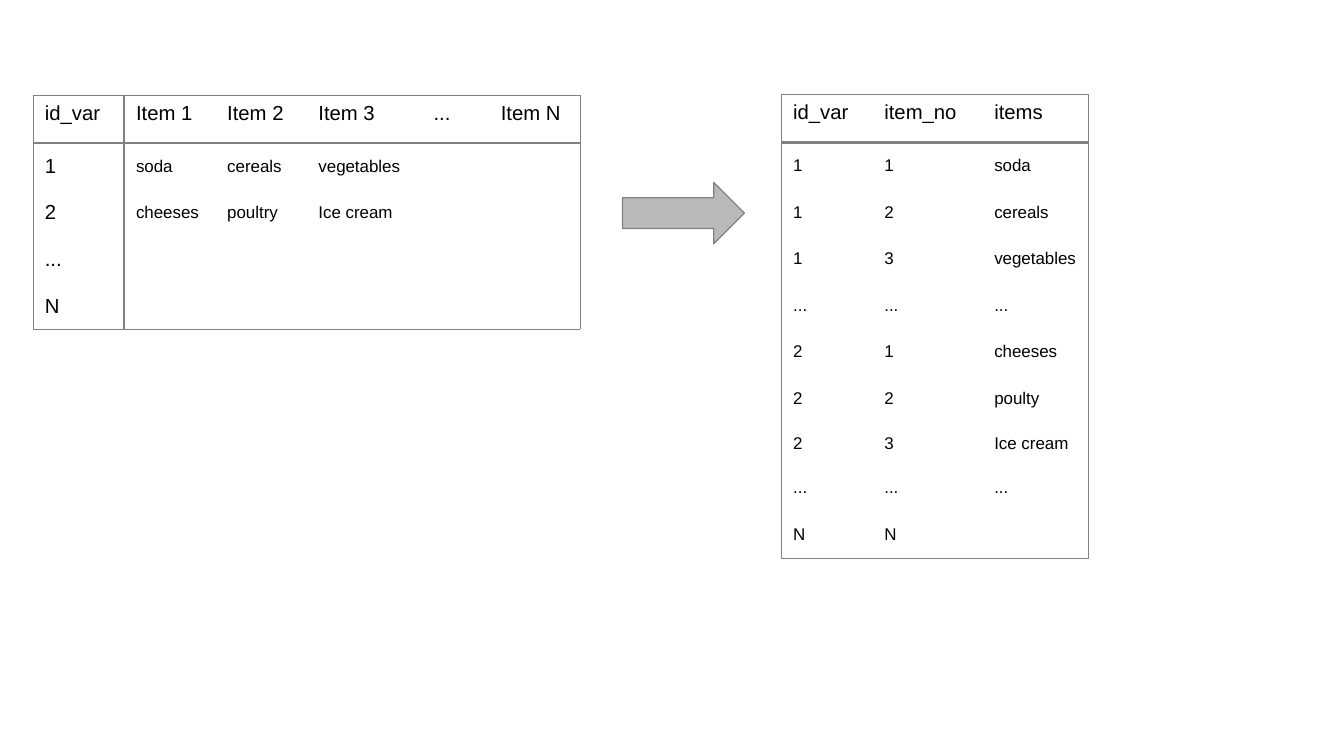
from lxml import etree
from pptx import Presentation
from pptx.dml.color import RGBColor
from pptx.enum.shapes import MSO_SHAPE
from pptx.enum.text import MSO_ANCHOR
from pptx.oxml.ns import qn
from pptx.util import Cm, Pt

RIGHT_ARROW = MSO_SHAPE.RIGHT_ARROW
TOP, MIDDLE = MSO_ANCHOR.TOP, MSO_ANCHOR.MIDDLE

COLORS = {"paper": "FFFFFF", "ink": "000000", "rule": "818181", "arrow": "B9B9B9"}
FONT = "Arial"
LARGE, SMALL = 12, 10
HEADER_RULE = 1.75

WIDE_ROWS = [
    ["id_var", "Item 1", "Item 2", "Item 3", "...", "Item N"],
    ["1", "soda", "cereals", "vegetables", "", ""],
    ["2", "cheeses", "poultry", "Ice cream", "", ""],
    ["...", "", "", "", "", ""],
    ["N", "", "", "", "", ""],
]
LONG_ROWS = [
    ["id_var", "item_no", "items"],
    ["1", "1", "soda"],
    ["1", "2", "cereals"],
    ["1", "3", "vegetables"],
    ["...", "...", "..."],
    ["2", "1", "cheeses"],
    ["2", "2", "poulty"],
    ["2", "3", "Ice cream"],
    ["...", "...", "..."],
    ["N", "N", ""],
]


def color(name):
    return RGBColor.from_string(COLORS[name])


def set_border(cell, side, weight):
    properties = cell._tc.get_or_add_tcPr()
    line = etree.SubElement(properties, qn(f"a:ln{side}"))
    if weight is None:
        etree.SubElement(line, qn("a:noFill"))
        return
    line.set("w", str(Pt(weight)))
    fill = etree.SubElement(line, qn("a:solidFill"))
    etree.SubElement(fill, qn("a:srgbClr"), val=COLORS["rule"])


def write_cell(cell, text, size, anchor):
    cell.text = text
    cell.vertical_anchor = anchor
    para = cell.text_frame.paragraphs[0]
    for span in para.runs:
        span.font.name = FONT
        span.font.size = Pt(size)
        span.font.color.rgb = color("ink")
    if not text:
        etree.SubElement(para._p, qn("a:endParaRPr"), sz=str(size * 100))


def add_grid(page, left, top, rows, widths, heights, outline, id_rule=None):
    frame = page.shapes.add_table(
        len(rows), len(widths), Cm(left), Cm(top), Cm(sum(widths)), Cm(sum(heights))
    )
    table = frame.table
    table.first_row = False
    table.horz_banding = False
    for column, width in zip(table.columns, widths):
        column.width = Cm(width)
    for row, height in zip(table.rows, heights):
        row.height = Cm(height)

    vertical = {0: outline, 1: id_rule, len(widths): outline}
    horizontal = {0: outline, 1: HEADER_RULE, len(rows): outline}
    for r, texts in enumerate(rows):
        for c, text in enumerate(texts):
            cell = table.cell(r, c)
            is_large = r == 0 or (id_rule and c == 0)
            write_cell(cell, text, LARGE if is_large else SMALL, MIDDLE if r else TOP)
            set_border(cell, "L", vertical.get(c))
            set_border(cell, "R", vertical.get(c + 1))
            set_border(cell, "T", horizontal.get(r))
            set_border(cell, "B", horizontal.get(r + 1))
            cell.fill.solid()
            cell.fill.fore_color.rgb = color("paper")


def add_arrow(page, left, top, width, height):
    arrow = page.shapes.add_shape(RIGHT_ARROW, Cm(left), Cm(top), Cm(width), Cm(height))
    arrow.shadow.inherit = False
    arrow.fill.solid()
    arrow.fill.fore_color.rgb = color("arrow")
    arrow.line.color.rgb = color("rule")
    arrow.line.width = Pt(0)


def main():
    deck = Presentation()
    deck.slide_width, deck.slide_height = Cm(28), Cm(15.75)
    page = deck.slides.add_slide(deck.slide_layouts[6])
    add_grid(
        page, 0.68, 1.99, WIDE_ROWS,
        widths=[1.9, 1.9, 1.9, 2.4, 1.4, 1.9],
        heights=[0.99] + [0.97] * 4,
        outline=0.06, id_rule=1.47,
    )
    add_grid(
        page, 16.27, 1.97, LONG_ROWS,
        widths=[1.9, 2.29, 2.22],
        heights=[1] + [0.97] * 5 + [0.98, 0.87, 0.97, 1],
        outline=0.34,
    )
    add_arrow(page, 12.97, 3.8, 2.54, 1.28)
    deck.save("out.pptx")


if __name__ == "__main__":
    main()
